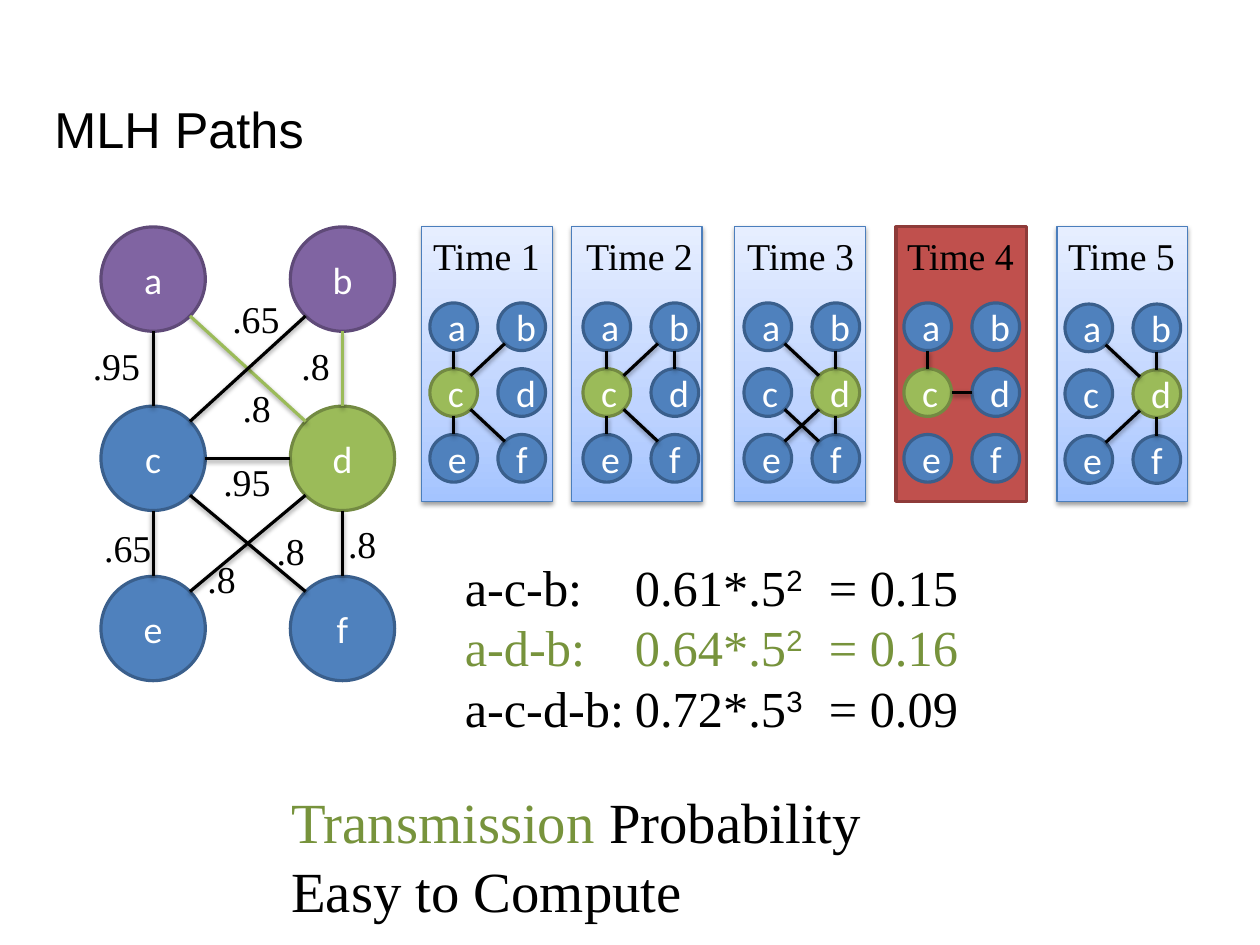
from math import hypot

from lxml.etree import SubElement
from pptx import Presentation
from pptx.dml.color import RGBColor
from pptx.enum.shapes import MSO_CONNECTOR, MSO_SHAPE
from pptx.enum.text import MSO_ANCHOR, MSO_AUTO_SIZE, PP_ALIGN
from pptx.oxml import parse_xml
from pptx.oxml.ns import nsdecls, qn
from pptx.util import Inches, Pt

BLACK = RGBColor(0x00, 0x00, 0x00)
WHITE = RGBColor(0xFF, 0xFF, 0xFF)
BLUE = RGBColor(0x4F, 0x81, 0xBD)
BLUE_EDGE = RGBColor(0x3A, 0x5F, 0x8C)
GREEN = RGBColor(0x9B, 0xBB, 0x59)
GREEN_EDGE = RGBColor(0x73, 0x8A, 0x42)
GREEN_TEXT = RGBColor(0x77, 0x93, 0x3C)
PURPLE = RGBColor(0x80, 0x64, 0xA2)
PURPLE_EDGE = RGBColor(0x5F, 0x4A, 0x78)
RED = RGBColor(0xC0, 0x50, 0x4D)
RED_EDGE = RGBColor(0x8E, 0x3B, 0x39)
PANEL_EDGE = RGBColor(0x4B, 0x7E, 0xBC)
PANEL_STOPS = [
    (0, RGBColor(0xA4, 0xC4, 0xFF)),
    (35, RGBColor(0xBF, 0xD4, 0xFF)),
    (100, RGBColor(0xE6, 0xEE, 0xFF)),
]

SERIF = "Times New Roman"
NODES = "abcdef"
PANEL_TOP, PANEL_W, PANEL_H = 2, 1.15, 2.42

WEIGHTS = [
    (".95", 1.87, 3.99, 0.62),
    (".95", 0.72, 2.97, 0.74),
    (".8", 2.56, 2.97, 0.45),
    (".8", 2.04, 3.34, 0.45),
    (".65", 1.95, 2.56, 0.62),
    (".65", 0.82, 4.58, 0.62),
    (".8", 2.97, 4.54, 0.45),
    (".8", 1.73, 4.85, 0.45),
    (".8", 2.34, 4.6, 0.45),
]
TIMES = [
    ("Time 1", 3.72, 3.79, 2.67, "c", "ac bc ce cf"),
    ("Time 2", 5.04, 5.14, 2.67, "c", "ac bd bc ce cf"),
    ("Time 3", 6.48, 6.56, 2.67, "d", "bd ad df cf de"),
    ("Time 4", 7.9, 7.97, 2.67, "c", "cd ac"),
    ("Time 5", 9.32, 9.39, 2.68, "d", "bd ad df de"),
]
PATHS = [
    ("a-c-b:", "0.61*.5", "2", "= 0.15", BLACK),
    ("a-d-b:", "0.64*.5", "2", "= 0.16", GREEN_TEXT),
    ("a-c-d-b:", "0.72*.5", "3", "= 0.09", BLACK),
]


def set_format(target, values):
    for name, value in values.items():
        setattr(target, name, value)


def add_run(p, text, size, color, font=SERIF):
    r = p.add_run()
    r.text = text
    set_format(r.font, {"name": font, "size": Pt(size)})
    r.font.color.rgb = color
    return r


def add_text(slide, left, top, width, height, lines, size):
    s = slide.shapes.add_textbox(Inches(left), Inches(top), Inches(width), Inches(height))
    tf = s.text_frame
    set_format(tf, {"word_wrap": False, "auto_size": MSO_AUTO_SIZE.SHAPE_TO_FIT_TEXT})
    for i, runs in enumerate(lines):
        p = tf.add_paragraph() if i else tf.paragraphs[0]
        for text, color in runs:
            add_run(p, text, size, color)
    return tf


def add_title(slide, text):
    s = slide.shapes.add_textbox(Inches(0.48), Inches(0.33), Inches(10.15), Inches(1.08))
    tf = s.text_frame
    set_format(tf, {"word_wrap": True, "vertical_anchor": MSO_ANCHOR.BOTTOM,
                    "margin_left": 0, "margin_right": 0,
                    "margin_top": 0, "margin_bottom": 0})
    p = tf.paragraphs[0]
    p.line_spacing = 0.95
    add_run(p, text, 32, BLACK, "Arial")


def add_shadow(s):
    effects = SubElement(s.element.spPr, qn("a:effectLst"))
    effects.append(parse_xml(
        f'<a:outerShdw {nsdecls("a")} blurRad="{Pt(3.1)}" dist="{Pt(1.6)}" '
        'dir="5400000" rotWithShape="0"><a:srgbClr val="000000">'
        '<a:alpha val="38000"/></a:srgbClr></a:outerShdw>'))


def add_outlined(slide, kind, left, top, width, height, edge, weight):
    s = slide.shapes.add_shape(kind, Inches(left), Inches(top), Inches(width), Inches(height))
    s.line.color.rgb = edge
    s.line.width = Pt(weight)
    return s


def add_node(slide, label, left, top, size, colors):
    fill, edge = colors
    s = add_outlined(slide, MSO_SHAPE.OVAL, left, top, size, size, edge, 2)
    s.shadow.inherit = False
    s.fill.solid()
    s.fill.fore_color.rgb = fill
    tf = s.text_frame
    set_format(tf, {"word_wrap": True, "vertical_anchor": MSO_ANCHOR.MIDDLE})
    p = tf.paragraphs[0]
    p.alignment = PP_ALIGN.CENTER
    add_run(p, label, 24, WHITE, "Calibri")


def add_edge(slide, start, end, radius, color):
    dx, dy = end[0] - start[0], end[1] - start[1]
    step_x, step_y = (dx > 0) - (dx < 0), (dy > 0) - (dy < 0)
    reach = radius / hypot(step_x, step_y)
    ends = (start[0] + step_x * reach, start[1] + step_y * reach,
            end[0] - step_x * reach, end[1] - step_y * reach)
    c = slide.shapes.add_connector(MSO_CONNECTOR.STRAIGHT, *map(Inches, ends))
    c.line.color.rgb = color
    c.line.width = Pt(2)
    add_shadow(c)


def add_graph(slide, left, tops, pitch, size, edges, colors, green_edges=()):
    radius = size / 2
    centers = {}
    for i, node in enumerate(NODES):
        x, y = left + i % 2 * pitch, tops[i // 2]
        centers[node] = (x + radius, y + radius)
        add_node(slide, node, x, y, size, colors.get(node, (BLUE, BLUE_EDGE)))
    for edge in edges.split():
        color = GREEN if edge in green_edges else BLACK
        add_edge(slide, centers[edge[0]], centers[edge[1]], radius, color)


def add_panel(slide, left, is_red):
    s = add_outlined(slide, MSO_SHAPE.RECTANGLE, left, PANEL_TOP, PANEL_W, PANEL_H,
                     RED_EDGE if is_red else PANEL_EDGE, 2 if is_red else 0.75)
    if is_red:
        s.fill.solid()
        s.fill.fore_color.rgb = RED
        s.shadow.inherit = False
        return
    stops = "".join(f'<a:gs pos="{pos * 1000}"><a:srgbClr val="{color}"/></a:gs>'
                    for pos, color in PANEL_STOPS)
    s.element.spPr.insert(2, parse_xml(
        f'<a:gradFill {nsdecls("a")} rotWithShape="1"><a:gsLst>{stops}</a:gsLst>'
        '<a:lin ang="16200000" scaled="0"/></a:gradFill>'))
    add_shadow(s)


def add_path_scores(slide):
    lines = [[(f"{path}\t{product}", color), (power, color), (f"\t{score}", color)]
             for path, product, power, score, color in PATHS]
    tf = add_text(slide, 4, 4.85, 4.64, 1.72, lines, 32)
    for p in tf.paragraphs:
        tabs = SubElement(p._p.get_or_add_pPr(), qn("a:tabLst"))
        for pos in (1.5, 3.21):
            SubElement(tabs, qn("a:tab"), pos=str(Inches(pos)), algn="l")
        power = p.runs[1]
        power.font.name = "Arial"
        power._r.get_or_add_rPr().set("baseline", "30000")


def main():
    prs = Presentation()
    set_format(prs, {"slide_width": Inches(11.11), "slide_height": Inches(8.33)})
    slide = prs.slides.add_slide(prs.slide_layouts[6])
    add_title(slide, "MLH Paths")

    purple, green = (PURPLE, PURPLE_EDGE), (GREEN, GREEN_EDGE)
    add_graph(slide, 0.89, (2, 3.58, 5.08), 1.67, 0.92, "ac bd ad bc df ce cf de cd",
              {"a": purple, "b": purple, "d": green}, ("ad", "bd"))
    for text, left, top, width in WEIGHTS:
        add_text(slide, left, top, width, 0.51, [[(text, BLACK)]], 24)

    for label, left, node_left, node_top, hub, edges in TIMES:
        add_panel(slide, left, label == "Time 4")
        tops = [node_top + row * 0.58 for row in range(3)]
        add_graph(slide, node_left, tops, 0.6, 0.42, edges, {hub: green})
        add_text(slide, node_left - 0.07, PANEL_TOP, PANEL_W, 0.51, [[(label, BLACK)]], 24)

    add_path_scores(slide)
    add_text(slide, 2.47, 6.89, 5.28, 1.31,
             [[("Transmission ", GREEN_TEXT), ("Probability", BLACK)],
              [("Easy to Compute", BLACK)]], 36)
    prs.save("out.pptx")


main()
